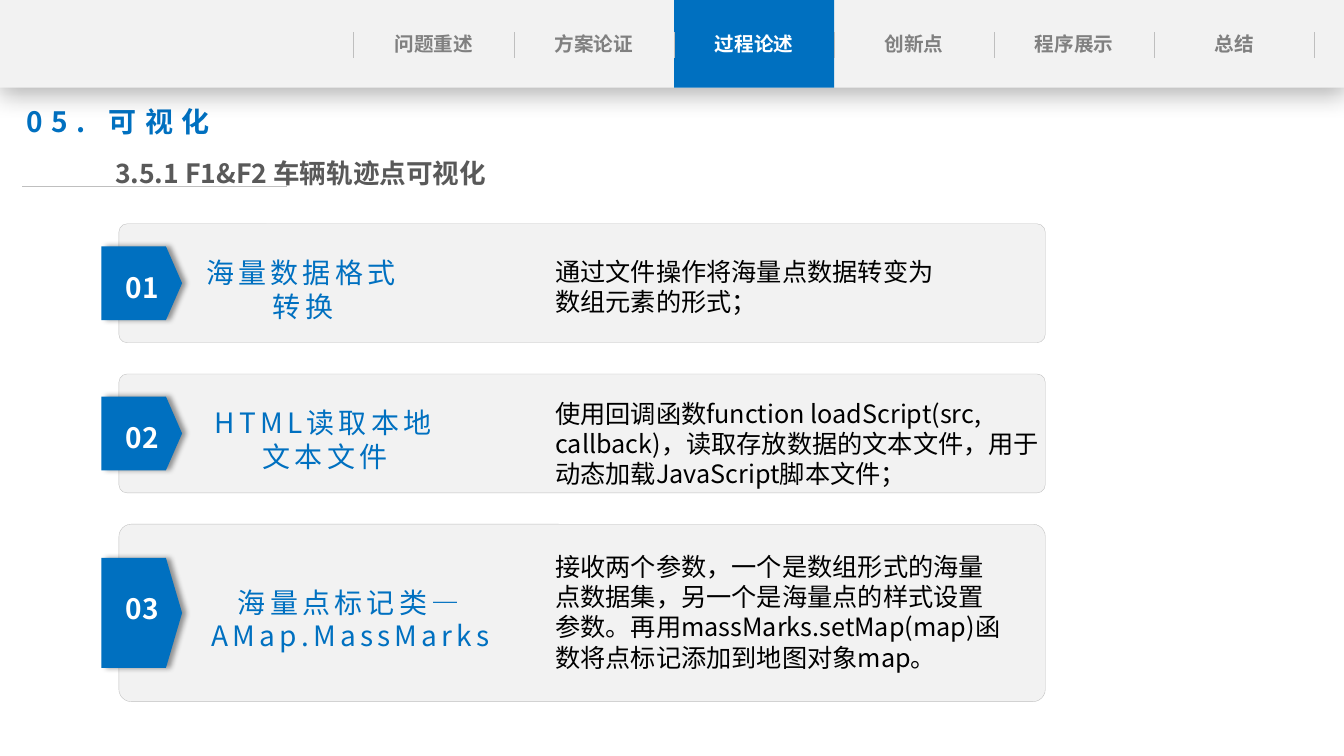
from lxml import etree
from pptx import Presentation
from pptx import util as u
from pptx.dml.color import RGBColor
from pptx.enum import shapes, text
from pptx.oxml import ns

FONT = "Noto Sans CJK SC"
BLUE, PALE, RULE = "0070C0", "F2F2F2", "BFBFBF"
GREY, DARK, WHITE, BLACK = "808080", "595959", "FFFFFF", "000000"


def colour(value):
    return RGBColor.from_string(value)


class Canvas:
    """Draws on one slide; every length is a percentage of the slide's size."""

    def __init__(self, deck):
        self.deck = deck
        self.slide = deck.slides.add_slide(deck.slide_layouts[5])
        self.target = self.slide.shapes

    def start_group(self):
        self.target = self.slide.shapes.add_group_shape().shapes

    def x(self, share):
        return u.Emu(round(self.deck.slide_width * share / 100))

    def y(self, share):
        return u.Emu(round(self.deck.slide_height * share / 100))

    def frame(self, left, top, width, height):
        return self.x(left), self.y(top), self.x(width), self.y(height)

    def set_words(self, frame, words, size, ink, bold=False, align="LEFT",
                  spacing=0, anchor="TOP", side=0.1):
        frame.word_wrap = True
        frame.auto_size = text.MSO_AUTO_SIZE.NONE
        frame.vertical_anchor = getattr(text.MSO_ANCHOR, anchor)
        frame.margin_left = frame.margin_right = u.Inches(side)
        frame.margin_top = frame.margin_bottom = u.Inches(0.05)
        frame.text = words
        paragraph = frame.paragraphs[0]
        paragraph.alignment = getattr(text.PP_ALIGN, align)
        font = paragraph.runs[0].font
        font.size, font.bold, font.name = u.Pt(size), bold, FONT
        font.color.rgb = colour(ink)
        properties = paragraph.runs[0]._r.get_or_add_rPr()
        etree.SubElement(properties, ns.qn("a:ea"), typeface=FONT)
        if spacing:
            properties.set("spc", str(spacing * 100))

    def title(self, box, words, **style):
        heading = self.slide.shapes.title
        heading.left, heading.top, heading.width, heading.height = self.frame(*box)
        self.set_words(heading.text_frame, words, **style)

    def label(self, box, words, **style):
        label = self.target.add_textbox(*self.frame(*box))
        self.set_words(label.text_frame, words, **style)

    def block(self, box, fill, kind="RECTANGLE", outline=None):
        block = self.target.add_shape(
            getattr(shapes.MSO_SHAPE, kind), *self.frame(*box))
        block.shadow.inherit = False
        block.fill.solid()
        block.fill.fore_color.rgb = colour(fill)
        if outline:
            block.line.color.rgb = colour(outline)
            block.line.width = u.Pt(0.25)
        else:
            block.line.fill.background()
        return block

    def cast_shadow(self, block, alpha, blur, distance, angle):
        effects = block._element.spPr.find(ns.qn("a:effectLst"))
        shadow = etree.SubElement(
            effects, ns.qn("a:outerShdw"), blurRad=str(u.Pt(blur)),
            dist=str(u.Pt(distance)), dir=str(angle * 60000), rotWithShape="0")
        tint = etree.SubElement(shadow, ns.qn("a:srgbClr"), val=BLACK)
        etree.SubElement(tint, ns.qn("a:alpha"), val=str(alpha * 1000))

    def badge(self, middle_x, middle_y, width, height):
        badge = self.block((0, 0, 1, 1), BLUE, "FLOWCHART_OFFPAGE_CONNECTOR")
        badge.width, badge.height = self.y(height), self.x(width)
        badge.left = self.x(middle_x) - badge.width // 2
        badge.top = self.y(middle_y) - badge.height // 2
        badge.rotation = 270
        self.cast_shadow(badge, 40, 4, 3, 0)
        self.target._recalculate_extents()

    def rule(self, x1, y1, x2, y2):
        rule = self.target.add_connector(
            shapes.MSO_CONNECTOR.STRAIGHT,
            self.x(x1), self.y(y1), self.x(x2), self.y(y2))
        rule.line.color.rgb = colour(RULE)
        rule.line.width = u.Pt(0.5)
        etree.SubElement(rule._element.spPr, ns.qn("a:effectLst"))


def draw_navigation(canvas, sections, current):
    start, pitch, height = 26.33, 11.91, 11.6
    bar = canvas.block((0, 0, 100, height), PALE)
    canvas.cast_shadow(bar, 29, 18, 4, 90)
    canvas.block((start + pitch * sections.index(current), 0, pitch, height), BLUE)
    for index, section in enumerate(sections):
        canvas.label((start + pitch * index, 3.6, pitch, 4.53), section, size=14,
                     ink=WHITE if section == current else GREY,
                     bold=True, align="CENTER", side=0)
    for index in range(len(sections) + 1):
        edge = start + pitch * index
        canvas.rule(edge, 4.27, edge, 7.73)


def draw_step(canvas, number, top, height, topic, topic_width,
              detail, detail_offset, detail_width):
    middle = top + height / 2
    canvas.start_group()
    card = canvas.block((8.85, top, 68.93, height), PALE, "ROUNDED_RECTANGLE", RULE)
    card.adjustments[0] = 0.07
    canvas.badge(10.55, middle, 6, height * 0.62)
    canvas.label((14.1, middle - 4.7, topic_width, 11), topic, size=20, ink=BLUE,
                 align="CENTER", spacing=3, anchor="MIDDLE")
    canvas.label((40.58, top + detail_offset, detail_width, height - detail_offset),
                 detail, size=18, ink=BLACK)
    canvas.label((7.95, top + height * 0.35, 5.25, 5.87), f"{number:02}", size=20,
                 ink=WHITE, bold=True, align="CENTER")


def main():
    deck = Presentation()
    deck.slide_width, deck.slide_height = u.Inches(13.33), u.Inches(7.5)
    canvas = Canvas(deck)
    draw_navigation(
        canvas, ["问题重述", "方案论证", "过程论述", "创新点", "程序展示", "总结"], "过程论述")
    canvas.title((1.98, 13.2, 50, 5.9), "05. 可视化", size=20, ink=BLUE,
                 bold=True, spacing=6, side=0)
    canvas.rule(1.65, 24.67, 21.38, 24.67)
    canvas.label((7.58, 20.13, 29.55, 5.73), "3.5.1 F1&F2 车辆轨迹点可视化",
                 size=19, ink=DARK, bold=True, align="CENTER", side=0)
    steps = [
        (15.73, "海量数据格式转换", 16.88,
         "通过文件操作将海量点数据转变为数组元素的形式；", 3.6, 30.6),
        (15.73, "HTML读取本地文本文件", 20.18,
         "使用回调函数function loadScript(src, callback)，读取存放数据的文本文件，"
         "用于动态加载JavaScript脚本文件；", 2.53, 37.65),
        (23.47, "海量点标记类—AMap.MassMarks", 24,
         "接收两个参数，一个是数组形式的海量点数据集，另一个是海量点的样式设置参数。"
         "再用massMarks.setMap(map)函数将点标记添加到地图对象map。", 2.93, 35.03),
    ]
    for index, step in enumerate(steps):
        draw_step(canvas, index + 1, 29.6 + 19.87 * index, *step)
    deck.save("out.pptx")


if __name__ == "__main__":
    main()
